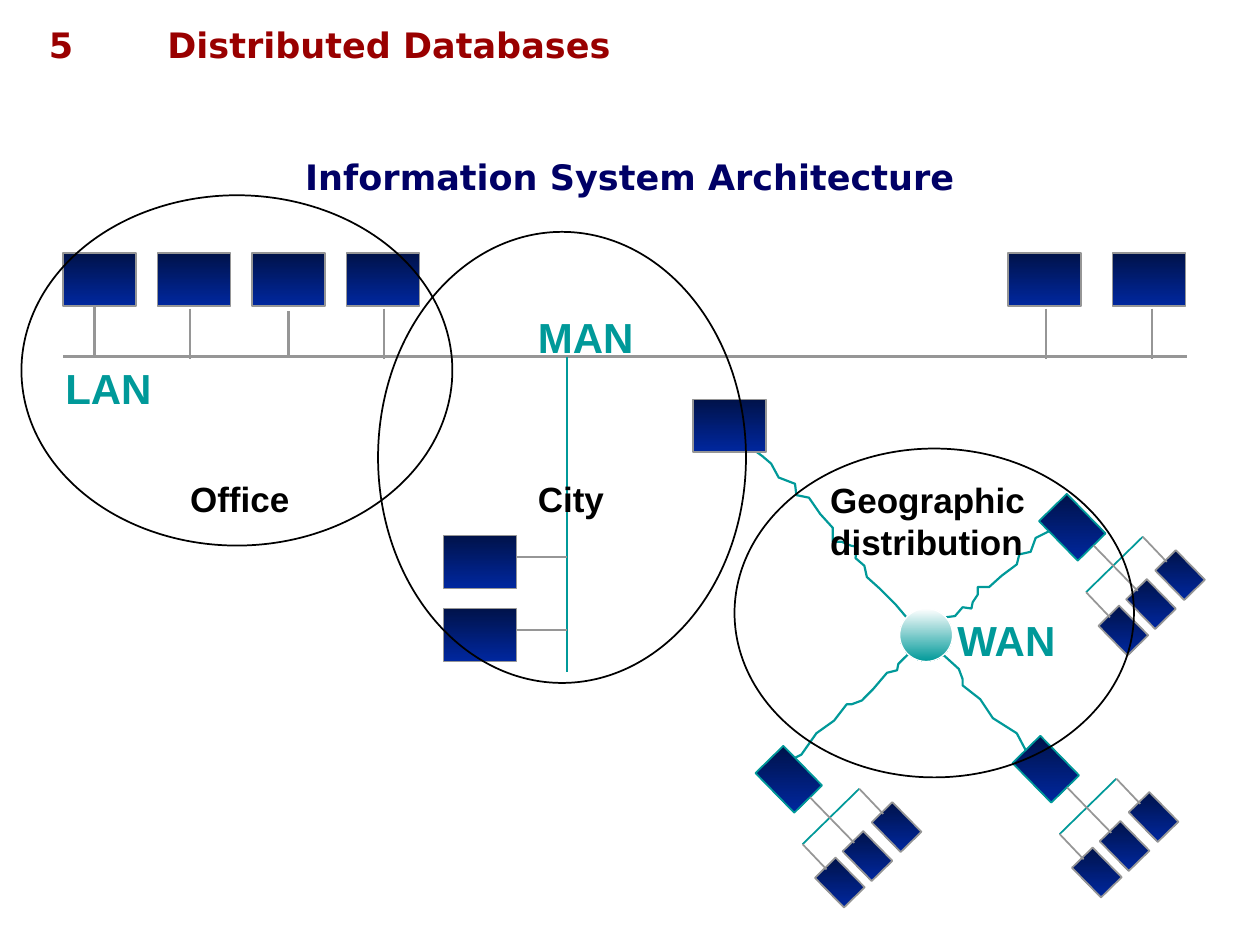
from lxml.etree import SubElement
from pptx import Presentation
from pptx.dml.color import RGBColor as RGB
from pptx.enum.shapes import MSO_CONNECTOR as LINK, MSO_SHAPE as SHAPE
from pptx.enum.text import MSO_ANCHOR as ANCHOR, MSO_AUTO_SIZE as FIT, PP_ALIGN as ALIGN
from pptx.oxml.ns import qn
from pptx.util import Inches, Pt

HUES = {"red": "990000", "navy": "000066", "teal": "009999", "grey": "969696",
        "dark": "00124A", "blue": "00279F", "black": "000000", "white": "FFFFFF"}
HEAD, BODY = "DejaVu Sans", "Arial"

# Wavy long-distance links, as points down each wire
WIRES = [
    [(8.46, 4.05), (8.38, 4.15), (8.32, 4.22), (8.22, 4.27), (8.18, 4.38),
     (8.09, 4.4), (8.07, 4.48), (7.95, 4.57), (7.85, 4.66), (7.76, 4.66),
     (7.76, 4.72), (7.72, 4.78), (7.71, 4.83), (7.64, 4.82), (7.58, 4.89),
     (7.5, 4.9), (7.42, 4.99), (7.3, 5.11), (7.18, 5.22), (7.13, 5.27),
     (7.12, 5.32), (7.04, 5.34), (6.93, 5.47), (6.84, 5.56), (6.76, 5.59),
     (6.72, 5.59), (6.62, 5.72), (6.48, 5.82), (6.36, 5.99), (6.2, 6.07),
     (6.11, 6.15)],
    [(5.94, 3.54), (6.05, 3.62), (6.12, 3.68), (6.18, 3.79), (6.31, 3.84),
     (6.32, 3.93), (6.42, 3.95), (6.51, 4.08), (6.61, 4.19), (6.61, 4.3),
     (6.68, 4.3), (6.75, 4.33), (6.8, 4.34), (6.79, 4.43), (6.86, 4.49),
     (6.88, 4.58), (6.98, 4.67), (7.11, 4.8), (7.22, 4.93), (7.29, 4.98),
     (7.34, 4.99), (7.35, 5.09), (7.5, 5.21), (7.61, 5.31), (7.64, 5.39),
     (7.64, 5.44), (7.78, 5.55), (7.88, 5.7), (8.07, 5.82), (8.17, 6.01),
     (8.25, 6.11)],
]


def hue(name):
    return RGB.from_string(HUES[name])


def shade(form, top, base):
    form.fill.gradient()
    form.fill.gradient_angle = 270
    for stop, name, at in zip(form.fill.gradient_stops, (top, base), (0, 1)):
        stop.color.rgb, stop.position = hue(name), at
    # Keep the shading upright on tilted shapes
    form._element.spPr.find(qn("a:gradFill")).set("rotWithShape", "0")


def add_form(slide, kind, x, y, w, h, ink, grad=None, turn=0, width=1):
    form = slide.shapes.add_shape(kind, Inches(x), Inches(y), Inches(w), Inches(h))
    form.shadow.inherit = False
    form.rotation = turn
    if grad:
        shade(form, *grad)
    else:
        form.fill.background()
    form.line.color.rgb, form.line.width = hue(ink), Pt(width)


def add_node(slide, x, y, w=0.58, h=0.42, ink="grey", turn=0):
    add_form(slide, SHAPE.RECTANGLE, x, y, w, h, ink, ("dark", "blue"), turn)


def add_line(slide, x1, y1, x2, y2, ink="grey", width=1.25):
    line = slide.shapes.add_connector(LINK.STRAIGHT, Inches(x1), Inches(y1),
                                      Inches(x2), Inches(y2))
    line.line.color.rgb, line.line.width = hue(ink), Pt(width)
    SubElement(line._element.spPr, qn("a:effectLst"))


def add_text(slide, x, y, w, h, lines, ink, size=20, face=BODY,
             align=ALIGN.LEFT, wrap=False, anchor=ANCHOR.TOP):
    frame = slide.shapes.add_textbox(Inches(x), Inches(y), Inches(w), Inches(h)).text_frame
    frame.word_wrap, frame.vertical_anchor = wrap, anchor
    frame.auto_size = FIT.NONE if wrap else FIT.SHAPE_TO_FIT_TEXT
    for i, line in enumerate(lines):
        para = frame.paragraphs[0] if i == 0 else frame.add_paragraph()
        para.alignment = align
        run = para.add_run()
        run.text = line
        run.font.name, run.font.size, run.font.bold = face, Pt(size), True
        run.font.color.rgb = hue(ink)


def add_head(slide, x, y):
    add_text(slide, x + 1.23, y, 8.51, 0.44, ["Distributed Databases"], "red",
             face=HEAD, wrap=True)
    add_text(slide, x + 0.13, y, 0.71, 0.44, ["5"], "red", face=HEAD,
             align=ALIGN.CENTER, wrap=True)


def add_title(slide, x, y, w, h):
    add_text(slide, x, y, w, h, ["Information System Architecture"], "navy",
             face=HEAD, align=ALIGN.CENTER, wrap=True, anchor=ANCHOR.MIDDLE)


def add_wires(slide, x, y):
    for wire in WIRES:
        points = [(Inches(x + px), Inches(y + py)) for px, py in wire]
        pen = slide.shapes.build_freeform(*points[0])
        pen.add_line_segments(points[1:], close=False)
        form = pen.convert_to_shape()
        form.shadow.inherit = False
        form.fill.background()
        form.line.color.rgb, form.line.width = hue("teal"), Pt(1.25)


def add_lan(slide, x, y, w):
    # Stations: left edge, then x, top and foot of the drop
    for left, drop, top, foot in [
            (0, 0.25, 0.42, 0.82), (0.75, 1.01, 0.44, 0.84),
            (1.5, 1.79, 0.46, 0.82), (2.25, 2.55, 0.44, 0.84),
            (7.5, 7.8, 0.44, 0.84), (8.33, 8.64, 0.44, 0.84)]:
        add_node(slide, x + left, y)
        add_line(slide, x + drop, y + top, x + drop, y + foot)
    add_line(slide, x, y + 0.82, x + w, y + 0.82)
    add_text(slide, x - 0.08, y + 0.82, 0.9, 0.5, ["LAN"], "teal", 24)


def add_man(slide, x, y, h):
    add_line(slide, x, y, x, y + h, "teal")
    for top in (1.42, 2):
        add_node(slide, x - 0.98, y + top)
        add_line(slide, x - 0.4, y + top + 0.17, x, y + top + 0.17)
    add_node(slide, x + 1, y + 0.34)
    add_text(slide, x - 0.33, y - 0.41, 0.96, 0.5, ["MAN"], "teal", 24)


def add_site(slide, x, y):
    # Tilted gateway with its own small bus of three stations
    add_node(slide, x, y, 0.44, 0.31, "teal", 45.6)
    add_line(slide, x + 0.78, y + 0.23, x + 0.33, y + 0.67, "teal", 1)
    for left, top in [(0.91, 0.42), (0.68, 0.65), (0.46, 0.86)]:
        add_node(slide, x + left, y + top, 0.33, 0.23, turn=45.6)
    for x1, y1, x2, y2 in [(0.78, 0.23, 0.97, 0.43), (0.39, 0.3, 0.74, 0.66),
                           (0.33, 0.67, 0.52, 0.87)]:
        add_line(slide, x + x1, y + y1, x + x2, y + y2, width=1)


def add_wan(slide, x, y, size):
    add_text(slide, x + 0.36, y, 0.99, 0.5, ["WAN"], "teal", 24)
    add_form(slide, SHAPE.OVAL, x, y, size, size, "white", ("white", "teal"), width=0.75)
    for left, top in [(0.94, 1.12), (1.15, -0.8), (-1.1, 1.2)]:
        add_site(slide, x + left, y + top)


def add_zone(slide, box, label, lines, turn=0):
    add_form(slide, SHAPE.OVAL, *box, "black", turn=turn)
    add_text(slide, *label, lines, "black")


def main():
    deck = Presentation()
    deck.slide_width, deck.slide_height = Inches(10), Inches(7.5)
    slide = deck.slides.add_slide(deck.slide_layouts[6])
    add_head(slide, 0, 0.14)
    # Networks
    add_wires(slide, 0, 0)
    add_lan(slide, 0.5, 2.01, 8.92)
    add_man(slide, 4.5, 2.83, 2.5)
    add_wan(slide, 7.14, 4.83, 0.42)
    # Reach of each network
    add_zone(slide, (0.17, 1.55, 3.42, 2.78), (1.41, 3.74, 0.99, 0.43), ["Office"])
    add_zone(slide, (2.67, 2.17, 3.58, 2.92), (4.17, 3.74, 0.74, 0.43), ["City"], 90)
    add_zone(slide, (5.83, 3.56, 3.17, 2.61), (6.49, 3.75, 1.82, 0.76),
             ["Geographic", "distribution"])
    add_title(slide, 0, 1.25, 10, 0.3)
    deck.save("out.pptx")


if __name__ == "__main__":
    main()
